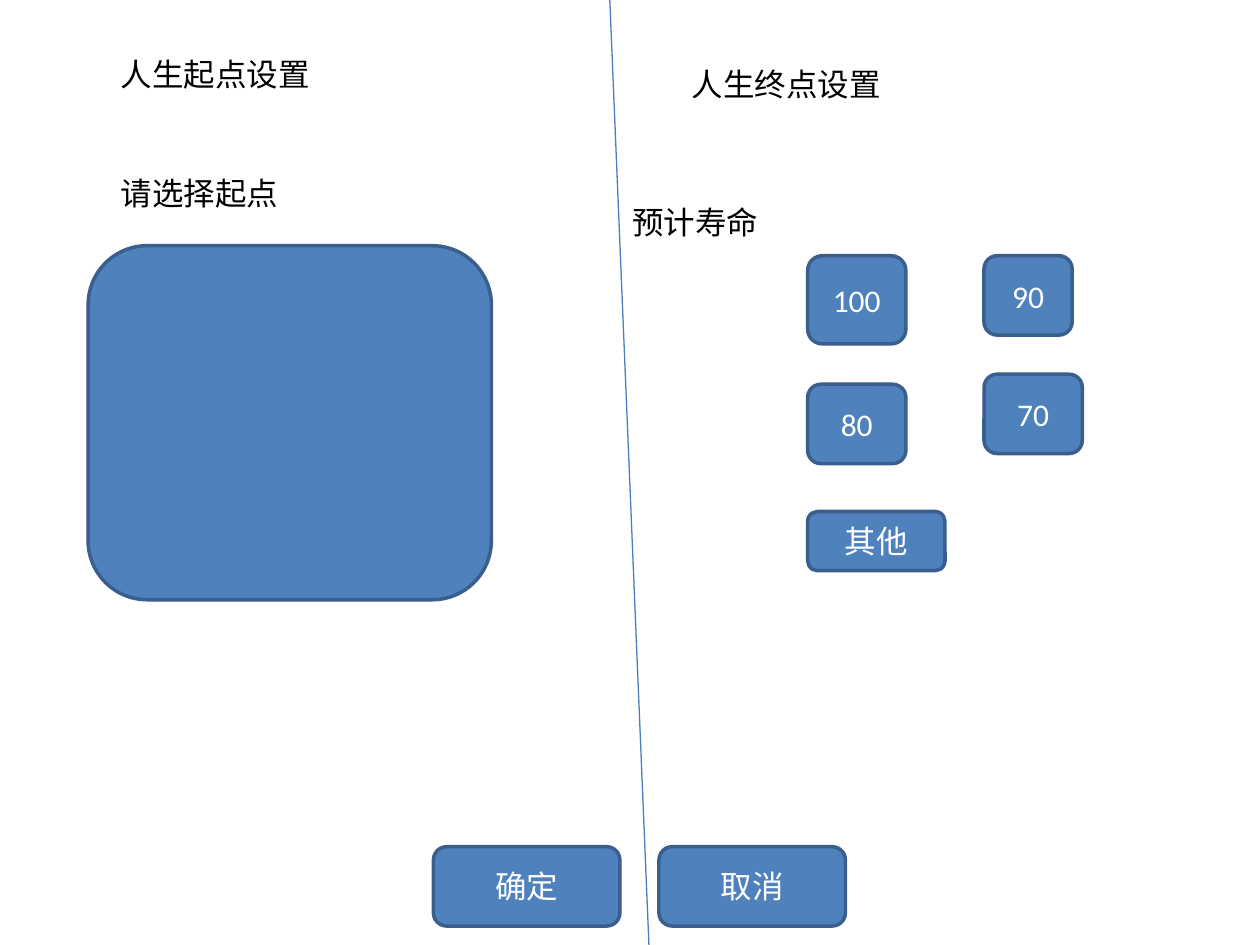
from pptx import Presentation
from pptx.dml.color import RGBColor
from pptx.enum.shapes import MSO_CONNECTOR, MSO_SHAPE
from pptx.enum.text import MSO_ANCHOR, MSO_AUTO_SIZE, PP_ALIGN
from pptx.oxml.ns import qn
from pptx.util import Inches, Pt
from lxml.etree import SubElement


def color(value):
    return RGBColor.from_string(value)


def apply_format(target, values):
    for name, value in values.items():
        setattr(target, name, value)


class SettingsPage:
    font = {"name": "Calibri", "size": Pt(18)}
    label_frame = {"word_wrap": True, "auto_size": MSO_AUTO_SIZE.SHAPE_TO_FIT_TEXT}
    button_frame = {"word_wrap": True, "vertical_anchor": MSO_ANCHOR.MIDDLE}
    fill, outline, divider_color = "4F81BD", "3A5F8C", "4B7EBC"

    def __init__(self, deck):
        self.page = deck.slides.add_slide(deck.slide_layouts[6])

    def set_text(self, box, text, ink, frame_format, alignment):
        apply_format(box.text_frame, frame_format)
        para = box.text_frame.paragraphs[0]
        para.alignment = alignment
        span = para.add_run()
        span.text = text
        apply_format(span.font, self.font)
        span.font.color.rgb = color(ink)

    def label(self, text, left, top, width):
        box = self.page.shapes.add_textbox(
            Inches(left), Inches(top), Inches(width), Inches(0.4))
        self.set_text(box, text, "000000", self.label_frame, PP_ALIGN.LEFT)

    def panel(self, left, top, width, height):
        box = self.page.shapes.add_shape(
            MSO_SHAPE.ROUNDED_RECTANGLE,
            Inches(left), Inches(top), Inches(width), Inches(height))
        box.shadow.inherit = False
        box.fill.solid()
        box.fill.fore_color.rgb = color(self.fill)
        box.line.color.rgb = color(self.outline)
        box.line.width = Pt(2)
        return box

    def button(self, text, left, top, width, height):
        box = self.panel(left, top, width, height)
        self.set_text(box, text, "FFFFFF", self.button_frame, PP_ALIGN.CENTER)

    def divider(self, start_x, start_y, end_x, end_y):
        line = self.page.shapes.add_connector(
            MSO_CONNECTOR.STRAIGHT,
            Inches(start_x), Inches(start_y), Inches(end_x), Inches(end_y))
        line.line.color.rgb = color(self.divider_color)
        line.line.width = Pt(0.75)
        SubElement(line._element.spPr, qn("a:effectLst"))


deck = Presentation()
deck.slide_width, deck.slide_height = Inches(10), Inches(7.5)
settings = SettingsPage(deck)

settings.divider(4.84, 0, 5.16, 7.73)
settings.label("人生起点设置", 0.86, 0.39, 3.59)
settings.label("人生终点设置", 5.39, 0.47, 4.38)
settings.panel(0.7, 1.95, 3.2, 2.81)
settings.label("请选择起点", 0.86, 1.33, 2.5)
settings.label("预计寿命", 4.92, 1.56, 2.81)

first_column, second_column = 6.41, 7.81
lifespans = [
    ("80", first_column, 3.05, 0.78, 0.63),
    ("70", second_column, 2.97, 0.78, 0.63),
    ("90", second_column, 2.03, 0.7, 0.63),
    ("100", first_column, 2.03, 0.78, 0.7),
    ("其他", first_column, 4.06, 1.09, 0.47),
]
for lifespan in lifespans:
    settings.button(*lifespan)

for action, left in (("确定", 3.44), ("取消", 5.23)):
    settings.button(action, left, 6.72, 1.48, 0.63)

deck.save("out.pptx")
